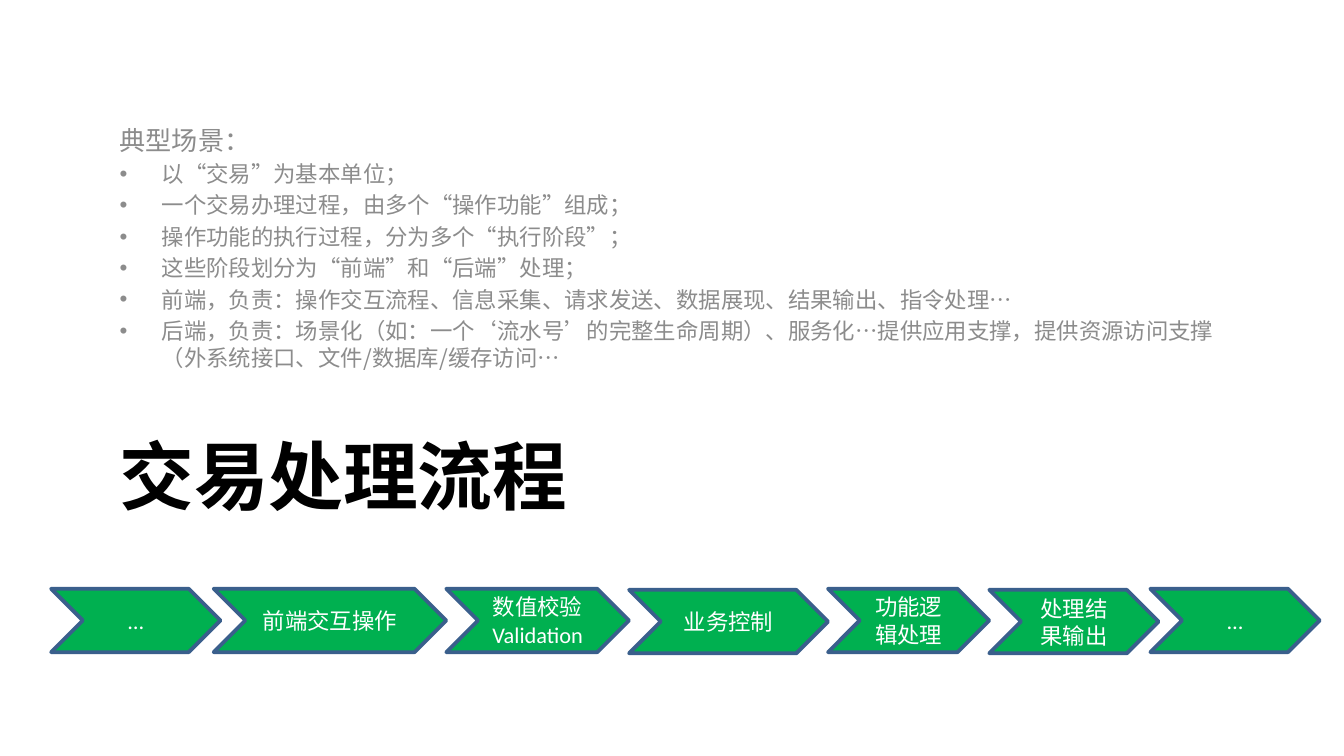
"""Build a slide on the transaction handling flow: scenario notes, title and a chain of stages."""
from lxml import etree
from pptx import Presentation
from pptx.dml.color import RGBColor
from pptx.enum import shapes, text
from pptx.oxml.ns import qn
from pptx.util import Pt

CJK = "Noto Sans CJK SC"


def colour(value):
    return RGBColor.from_string(value)


def add_run(paragraph, words, size, shade, latin=CJK, bold=False):
    run = paragraph.add_run()
    run.text = words
    run.font.size = Pt(size)
    run.font.bold = bold
    run.font.color.rgb = colour(shade)
    run.font.name = latin
    etree.SubElement(run.font._element, qn("a:ea"), typeface=CJK)


deck = Presentation()
deck.slide_width, deck.slide_height = Pt(720), Pt(405)
slide = deck.slides.add_slide(deck.slide_layouts[2])

title = slide.shapes.title
title.left, title.top, title.width, title.height = Pt(56.9), Pt(223.2), Pt(612), Pt(80.6)
title.text_frame.auto_size = text.MSO_AUTO_SIZE.NONE
title.text_frame.vertical_anchor = text.MSO_ANCHOR.TOP
heading = title.text_frame.paragraphs[0]
heading.alignment = text.PP_ALIGN.LEFT
heading.line_spacing = Pt(51.5)
add_run(heading, "交易处理流程", 40, "000000", bold=True)

scenario = slide.placeholders[1]
scenario.left, scenario.top, scenario.width, scenario.height = Pt(56.9), Pt(49.7), Pt(612), Pt(173.5)
notes = scenario.text_frame
notes.auto_size = text.MSO_AUTO_SIZE.NONE
notes.vertical_anchor = text.MSO_ANCHOR.BOTTOM
notes.margin_bottom = Pt(24.5)
intro = notes.paragraphs[0]
intro.space_before = Pt(0)
intro.line_spacing = Pt(17)
add_run(intro, "典型场景：", 14, "8C8C8C")

points = [
    "以“交易”为基本单位；",
    "一个交易办理过程，由多个“操作功能”组成；",
    "操作功能的执行过程，分为多个“执行阶段”；",
    "这些阶段划分为“前端”和“后端”处理；",
    "前端，负责：操作交互流程、信息采集、请求发送、数据展现、结果输出、指令处理…",
    "后端，负责：场景化（如：一个‘流水号’的完整生命周期）、服务化…提供应用支撑，"
    "提供资源访问支撑（外系统接口、文件/数据库/缓存访问…",
]
for words in points:
    point = notes.add_paragraph()
    point.space_before = Pt(2.4)
    point.line_spacing = Pt(14.4)
    layout = point._p.get_or_add_pPr()
    layout.set("marL", str(Pt(22.5)))
    layout.set("indent", str(-Pt(22.5)))
    etree.SubElement(layout, qn("a:buFont"), typeface="Arial")
    etree.SubElement(layout, qn("a:buChar"), char="•")
    add_run(point, words, 12, "8C8C8C")

stages = [
    ("前端交互操作", 124.6, 315.4),
    ("数值校验Validation", 97.9, 315.4),
    ("业务控制", 106.6, 316),
    ("功能逻辑处理", 86.4, 315.4),
    ("处理结果输出", 90.7, 316),
]
chain = []
left = 114.5
for words, width, top in stages:
    chain.append((words, left, top, width))
    left += width
chain += [("…", 27.4, 315.4, 90.7), ("…", 616.3, 315.4, 90.7)]

for words, left, top, width in chain:
    stage = slide.shapes.add_shape(
        shapes.MSO_SHAPE.CHEVRON, Pt(left), Pt(top), Pt(width), Pt(34))
    stage.shadow.inherit = False
    stage.fill.solid()
    stage.fill.fore_color.rgb = colour("00B050")
    stage.line.color.rgb = colour("3A5F8C")
    stage.line.width = Pt(2)
    stage.text_frame.word_wrap = True
    stage.text_frame.vertical_anchor = text.MSO_ANCHOR.MIDDLE
    label = stage.text_frame.paragraphs[0]
    label.alignment = text.PP_ALIGN.CENTER
    label.line_spacing = Pt(14.5)
    add_run(label, words, 12, "FFFFFF", latin="Calibri")

deck.save("out.pptx")
